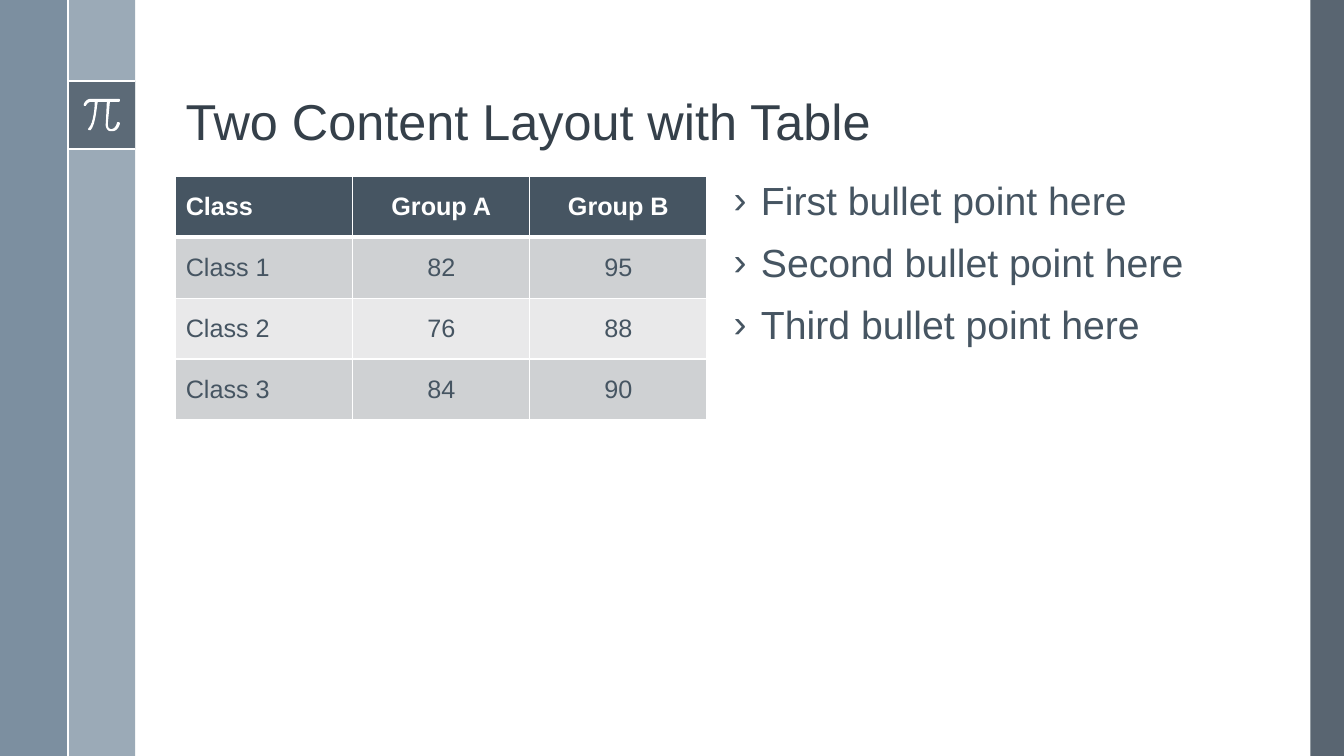
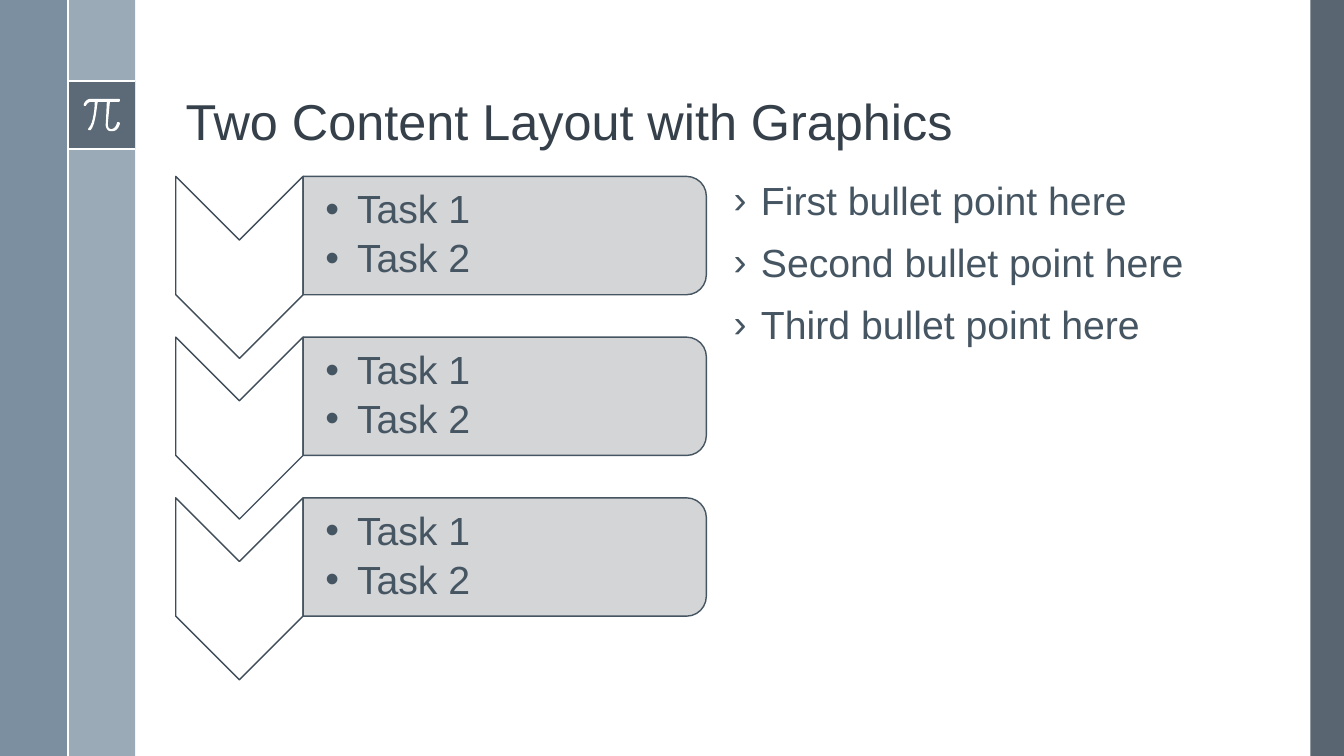
from dataclasses import dataclass

from lxml import etree
from pptx import Presentation
from pptx.dml.color import RGBColor
from pptx.enum.shapes import MSO_CONNECTOR, MSO_SHAPE
from pptx.enum.text import MSO_ANCHOR, PP_ALIGN
from pptx.oxml.ns import qn
from pptx.util import Pt

RECTANGLE = MSO_SHAPE.RECTANGLE
CHEVRON = MSO_SHAPE.CHEVRON
ROUNDED_PANEL = MSO_SHAPE.ROUND_2_SAME_RECTANGLE
STRAIGHT = MSO_CONNECTOR.STRAIGHT
TOP, MIDDLE, BOTTOM = MSO_ANCHOR.TOP, MSO_ANCHOR.MIDDLE, MSO_ANCHOR.BOTTOM
LEFT, CENTER = PP_ALIGN.LEFT, PP_ALIGN.CENTER

FONT = "Arial"
COLORS = {
    "white": "FFFFFF",
    "slate": "475562",
    "steel": "6A8093",
    "mist": "9BAAB7",
    "title": "35404A",
    "text": "465562",
    "outline": "404D59",
    "row_dark": "CFD1D3",
    "row_light": "E9E9EA",
}

WIDTH, HEIGHT = 960, 540
BAND = 48.3
BADGE_TOP = 58
CONTENT_LEFT, CONTENT_TOP, COLUMN_WIDTH = 125.5, 126, 379.5


@dataclass(frozen=True)
class Box:
    left: float
    top: float
    width: float
    height: float


@dataclass(frozen=True)
class Band:
    box: Box
    color: str
    opacity: int = 100


@dataclass(frozen=True)
class TextStyle:
    size: float
    color: str
    bold: bool = False
    align: PP_ALIGN = LEFT
    line_spacing: float = 1.0
    before: float = 0
    after: float = 0
    bullet: str = ""
    indent: float = 0


BANDS = [
    Band(Box(WIDTH - 24, 0, 24, HEIGHT), "slate", 90),
    Band(Box(BAND, 0, BAND, HEIGHT), "mist"),
    Band(Box(0, 0, BAND, HEIGHT), "steel", 88),
    Band(Box(BAND, BADGE_TOP, BAND, BAND), "slate", 75),
]
RULES = [
    (BAND, BADGE_TOP, 2 * BAND, BADGE_TOP),
    (BAND, BADGE_TOP + BAND, 2 * BAND, BADGE_TOP + BAND),
    (BAND, 0, BAND, HEIGHT),
]

TITLE_STYLE = TextStyle(36, "title", line_spacing=0.9)
BULLET_STYLE = TextStyle(28, "text", line_spacing=0.9, before=14, bullet="›", indent=19.5)
TASK_STYLE = TextStyle(28, "text", line_spacing=0.9, after=4.5, bullet="•", indent=22.5)

# Outline of the pi sign: two numbers are a straight end, six a cubic curve.
PI_LEFT, PI_TOP, PI_UNIT = 59.8, 70.6, 0.72
PI_START = (35, 0)
PI_SEGMENTS = [
    (7, 0), (2, 0, 0, 5, 0, 6), (0, 6, 0, 7, 1, 7), (2, 7),
    (2, 7, 4, 3, 7, 3), (11, 3), (11, 7, 10, 24, 5, 29),
    (4, 30, 4, 30, 5, 31), (7, 31), (12, 25, 13, 7, 14, 3),
    (23, 3), (22, 24), (22, 24, 21, 28, 24, 31),
    (25, 32, 26, 32, 27, 32), (29, 32), (34, 32, 36, 25, 36, 24),
    (36, 24, 35, 23, 35, 23), (34, 23, 33, 23, 33, 24),
    (33, 24, 32, 29, 28, 30), (27, 30, 26, 30, 25, 29),
    (24, 28, 24, 25, 24, 24), (26, 3), (35, 3), (36, 2),
    (36, 1, 36, 0, 35, 0),
]
CURVE_STEPS = 8

BULLETS = ["First bullet point here", "Second bullet point here", "Third bullet point here"]
SCORES = [
    ("Class", "Group A", "Group B"),
    ("Class 1", "82", "95"),
    ("Class 2", "76", "88"),
    ("Class 3", "84", "90"),
]
ROW_HEIGHT = 43.5
TASK_GROUPS = [["Task 1", "Task 2"]] * 3
TASK_PITCH = 114.8


def rgb(name: str) -> RGBColor:
    return RGBColor.from_string(COLORS[name])


def paint(shape, color: str, opacity: int = 100, line: str = "") -> None:
    shape.shadow.inherit = False
    shape.fill.solid()
    shape.fill.fore_color.rgb = rgb(color)
    if opacity < 100:
        fill_color = shape._element.spPr.find(qn("a:solidFill")).find(qn("a:srgbClr"))
        etree.SubElement(fill_color, qn("a:alpha"), val=str(opacity * 1000))
    if line:
        shape.line.color.rgb = rgb(line)
        shape.line.width = Pt(1)
    else:
        shape.line.fill.background()


def add_upright_shape(slide, kind: MSO_SHAPE, box: Box, turned: bool = False):
    """Place a shape whose visible bounds are box, even when turned by 90 degrees."""
    width, height = (box.height, box.width) if turned else (box.width, box.height)
    left = box.left + (box.width - width) / 2
    top = box.top + (box.height - height) / 2
    shape = slide.shapes.add_shape(kind, Pt(left), Pt(top), Pt(width), Pt(height))
    shape.rotation = 90 if turned else 0
    return shape


def add_rule(slide, start_x: float, start_y: float, end_x: float, end_y: float) -> None:
    rule = slide.shapes.add_connector(STRAIGHT, Pt(start_x), Pt(start_y), Pt(end_x), Pt(end_y))
    rule.line.color.rgb = rgb("white")
    rule.line.width = Pt(1.5)
    etree.SubElement(rule._element.spPr, qn("a:effectLst"))


def pi_points() -> list[tuple[float, float]]:
    points = [PI_START]
    for segment in PI_SEGMENTS:
        if len(segment) == 2:
            points.append(segment)
            continue
        controls = (points[-1], segment[:2], segment[2:4], segment[4:])
        for step in range(1, CURVE_STEPS + 1):
            t = step / CURVE_STEPS
            weights = ((1 - t) ** 3, 3 * t * (1 - t) ** 2, 3 * t**2 * (1 - t), t**3)
            x, y = (sum(w * c[axis] for w, c in zip(weights, controls)) for axis in (0, 1))
            points.append((x, y))
    return points


def add_pi_sign(slide) -> None:
    points = [(Pt(PI_LEFT + x * PI_UNIT), Pt(PI_TOP + y * PI_UNIT)) for x, y in pi_points()]
    builder = slide.shapes.build_freeform(*points[0], scale=1.0)
    builder.add_line_segments(points[1:], close=True)
    paint(builder.convert_to_shape(), "white")


def write_paragraphs(frame, lines: list[str], style: TextStyle) -> None:
    for index, line in enumerate(lines):
        paragraph = frame.add_paragraph() if index else frame.paragraphs[0]
        paragraph.alignment = style.align
        paragraph.line_spacing = style.line_spacing
        paragraph.space_before = Pt(style.before)
        paragraph.space_after = Pt(style.after)
        if style.bullet:
            properties = paragraph._p.get_or_add_pPr()
            properties.set("marL", str(Pt(style.indent)))
            properties.set("indent", str(-Pt(style.indent)))
            etree.SubElement(properties, qn("a:buFont"), typeface=FONT)
            etree.SubElement(properties, qn("a:buChar"), char=style.bullet)
        run = paragraph.add_run()
        run.text = line
        run.font.name = FONT
        run.font.size = Pt(style.size)
        run.font.bold = style.bold
        run.font.color.rgb = rgb(style.color)


def add_text(slide, box: Box, lines: list[str], style: TextStyle, anchor: MSO_ANCHOR = TOP):
    text_box = slide.shapes.add_textbox(Pt(box.left), Pt(box.top), Pt(box.width), Pt(box.height))
    frame = text_box.text_frame
    frame.word_wrap = True
    frame.vertical_anchor = anchor
    write_paragraphs(frame, lines, style)
    return frame


def add_content_slide(presentation, title: str):
    """Add a slide with the bands, the title and the bullets on the right."""
    slide = presentation.slides.add_slide(presentation.slide_layouts[6])
    for band in BANDS:
        paint(add_upright_shape(slide, RECTANGLE, band.box), band.color, band.opacity)
    for rule in RULES:
        add_rule(slide, *rule)
    add_pi_sign(slide)
    add_text(slide, Box(CONTENT_LEFT, 14, 770, 97.5), [title], TITLE_STYLE, BOTTOM)
    add_text(slide, Box(517, CONTENT_TOP, COLUMN_WIDTH, 360), BULLETS, BULLET_STYLE)
    return slide


def set_borders(cell, row: int) -> None:
    """Draw white cell edges, with a heavier one below the header row."""
    widths = {"L": 1, "R": 1, "T": 3 if row == 1 else 1, "B": 3 if row == 0 else 1}
    properties = cell._tc.get_or_add_tcPr()
    for side, width in widths.items():
        edge = etree.SubElement(properties, qn(f"a:ln{side}"), w=str(Pt(width)))
        fill = etree.SubElement(edge, qn("a:solidFill"))
        etree.SubElement(fill, qn("a:srgbClr"), val=COLORS["white"])


def add_score_table(slide) -> None:
    row_count, column_count = len(SCORES), len(SCORES[0])
    table = slide.shapes.add_table(
        row_count, column_count, Pt(CONTENT_LEFT), Pt(CONTENT_TOP),
        Pt(COLUMN_WIDTH), Pt(ROW_HEIGHT * row_count),
    ).table
    for column in table.columns:
        column.width = Pt(COLUMN_WIDTH / column_count)
    for row, values in enumerate(SCORES):
        table.rows[row].height = Pt(ROW_HEIGHT)
        header = row == 0
        fill = "text" if header else "row_dark" if row % 2 else "row_light"
        for column, value in enumerate(values):
            cell = table.cell(row, column)
            set_borders(cell, row)
            cell.fill.solid()
            cell.fill.fore_color.rgb = rgb(fill)
            cell.vertical_anchor = MIDDLE
            style = TextStyle(
                18, "white" if header else "text", header, CENTER if column else LEFT
            )
            write_paragraphs(cell.text_frame, [value], style)


def add_task_step(slide, top: float, tasks: list[str]) -> None:
    chevron_box = Box(CONTENT_LEFT, top, 91, 130)
    paint(add_upright_shape(slide, CHEVRON, chevron_box, True), "white", line="outline")
    panel_box = Box(CONTENT_LEFT + 91, top, 288, 84.5)
    paint(add_upright_shape(slide, ROUNDED_PANEL, panel_box, True), "row_dark", 90, "text")
    text_box = Box(panel_box.left, top + 4, 283.5, 76.5)
    frame = add_text(slide, text_box, tasks, TASK_STYLE, MIDDLE)
    frame.margin_left = Pt(16)
    frame.margin_right = frame.margin_top = frame.margin_bottom = Pt(1.4)


def main() -> None:
    presentation = Presentation()
    presentation.slide_width, presentation.slide_height = Pt(WIDTH), Pt(HEIGHT)

    add_score_table(add_content_slide(presentation, "Two Content Layout with Table"))

    task_slide = add_content_slide(presentation, "Two Content Layout with Graphics")
    for index, tasks in enumerate(TASK_GROUPS):
        add_task_step(task_slide, CONTENT_TOP + index * TASK_PITCH, tasks)

    presentation.save("out.pptx")


if __name__ == "__main__":
    main()
